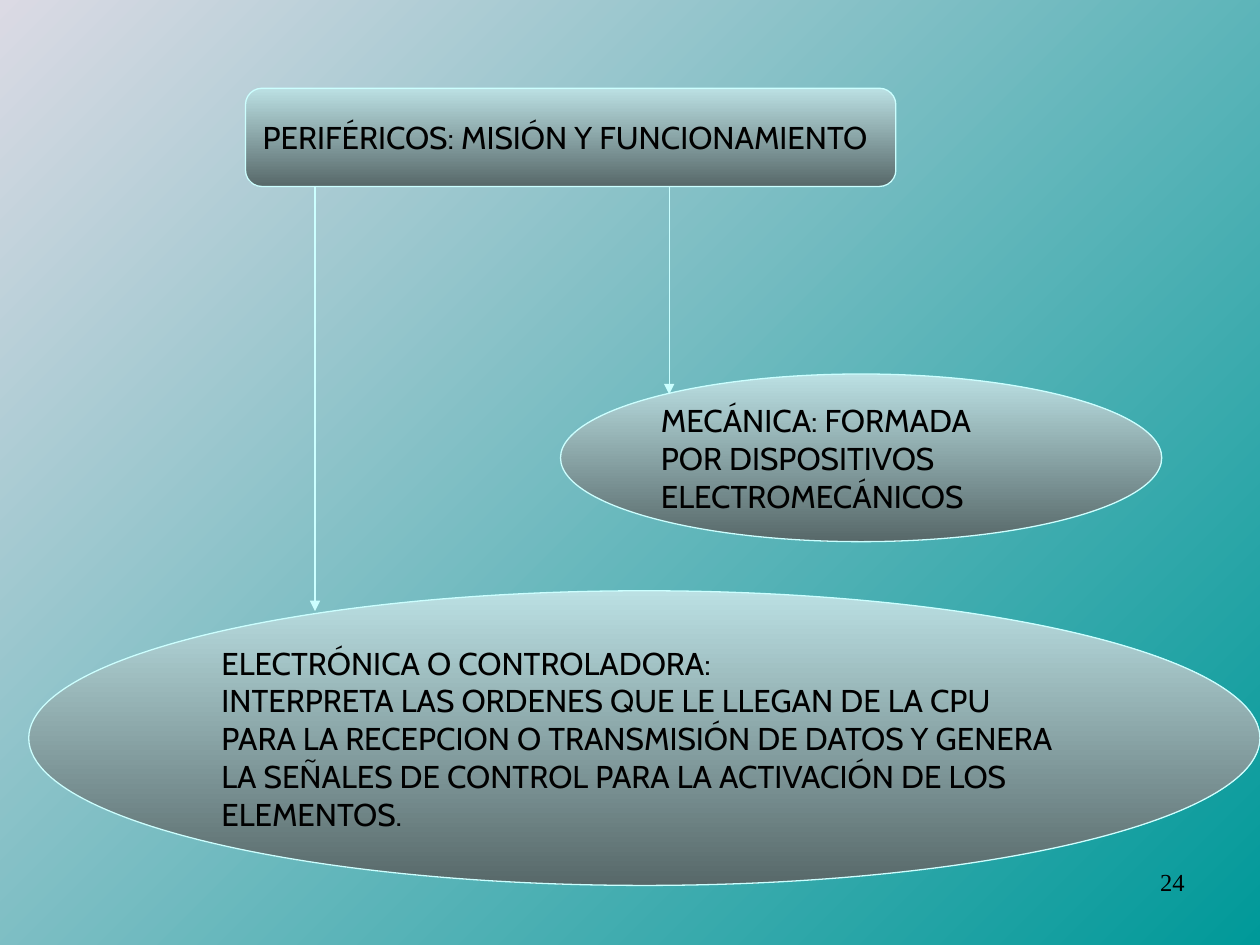
"""Build the slide on the mission and operation of peripherals."""
from dataclasses import dataclass

from lxml import etree
from pptx import Presentation
from pptx import util as u
from pptx.dml.color import RGBColor
from pptx.enum import shapes, text
from pptx.oxml.ns import qn


@dataclass(frozen=True)
class Theme:
    page: tuple = ("DBDAE4", "009999")
    node: tuple = ("BBE0E3", "576869")
    line: str = "CCFFFF"
    ink: str = "000000"
    line_width: float = 0.75
    node_size: int = 18
    number_size: int = 14
    node_font: str = "Cabin"
    number_font: str = "Times New Roman"


theme = Theme()


def write(box, lines, font, size, align=text.PP_ALIGN.LEFT, anchor=text.MSO_ANCHOR.TOP, wrap=True):
    frame = box.text_frame
    frame.word_wrap = wrap
    frame.vertical_anchor = anchor
    for index, line in enumerate(lines):
        para = frame.paragraphs[0] if index == 0 else frame.add_paragraph()
        para.alignment = align
        span = para.add_run()
        span.text = line
        span.font.name = font
        span.font.size = u.Pt(size)
        span.font.color.rgb = RGBColor.from_string(theme.ink)


def shade(fill, colors, angle):
    fill.gradient()
    fill.gradient_angle = 360 - angle
    for stop, color in zip(fill.gradient_stops, colors):
        stop.color.rgb = RGBColor.from_string(color)


deck = Presentation()
deck.slide_width, deck.slide_height = u.Cm(25.4), u.Cm(19.05)
page = deck.slides.add_slide(deck.slide_layouts[6])
shade(page.background.fill, theme.page, 45)

number = page.shapes.add_textbox(u.Cm(18.21), u.Cm(17.35), u.Cm(5.92), u.Cm(1.32))
write(number, ["24"], theme.number_font, theme.number_size, align=text.PP_ALIGN.RIGHT)

kinds = shapes.MSO_SHAPE
nodes = [
    (kinds.ROUNDED_RECTANGLE, (4.95, 1.78, 13.11, 1.98), ["PERIFÉRICOS: MISIÓN Y FUNCIONAMIENTO"]),
    (kinds.OVAL, (11.3, 7.54, 12.12, 3.38),
     ["MECÁNICA: FORMADA", "POR DISPOSITIVOS", "ELECTROMECÁNICOS"]),
    (kinds.OVAL, (0.58, 11.91, 24.82, 5.94),
     ["ELECTRÓNICA O CONTROLADORA:",
      "INTERPRETA LAS ORDENES QUE LE LLEGAN DE LA CPU",
      "PARA LA RECEPCION O TRANSMISIÓN DE DATOS Y GENERA",
      "LA SEÑALES DE CONTROL PARA LA ACTIVACIÓN DE LOS",
      "ELEMENTOS."]),
]
for kind, place, lines in nodes:
    node = page.shapes.add_shape(kind, *map(u.Cm, place))
    node.shadow.inherit = False
    shade(node.fill, theme.node, 90)
    node.line.color.rgb = RGBColor.from_string(theme.line)
    node.line.width = u.Pt(theme.line_width)
    write(node, lines, theme.node_font, theme.node_size, anchor=text.MSO_ANCHOR.MIDDLE, wrap=False)

arrow_top = 3.76
for x, bottom in [(13.49, 7.95), (6.35, 12.32)]:
    arrow = page.shapes.add_connector(
        shapes.MSO_CONNECTOR.STRAIGHT, u.Cm(x), u.Cm(arrow_top), u.Cm(x), u.Cm(bottom))
    arrow.line.color.rgb = RGBColor.from_string(theme.line)
    arrow.line.width = u.Pt(theme.line_width)
    etree.SubElement(arrow.line._get_or_add_ln(), qn("a:tailEnd"), type="triangle")
    etree.SubElement(arrow._element.spPr, qn("a:effectLst"))

deck.save("out.pptx")
